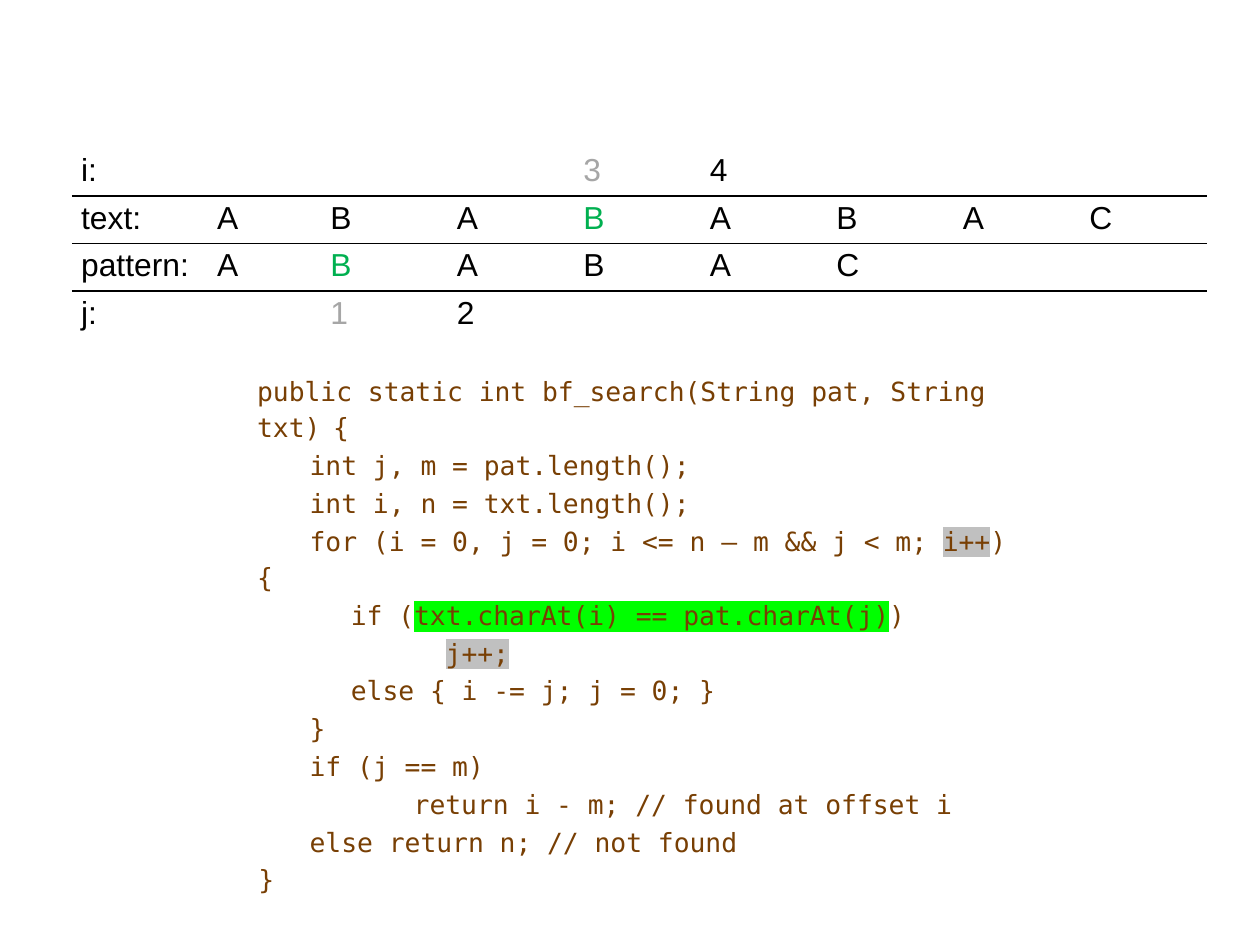
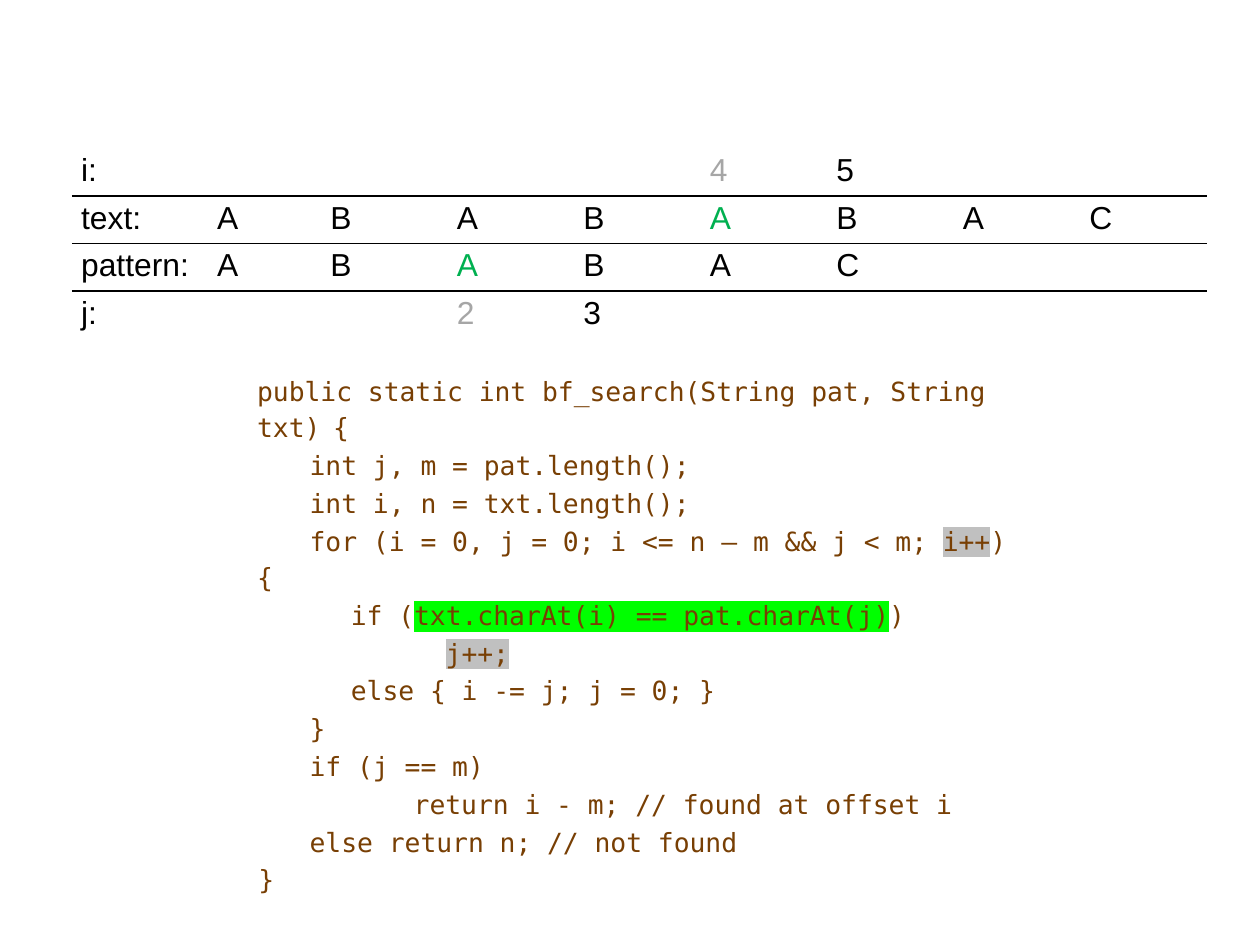
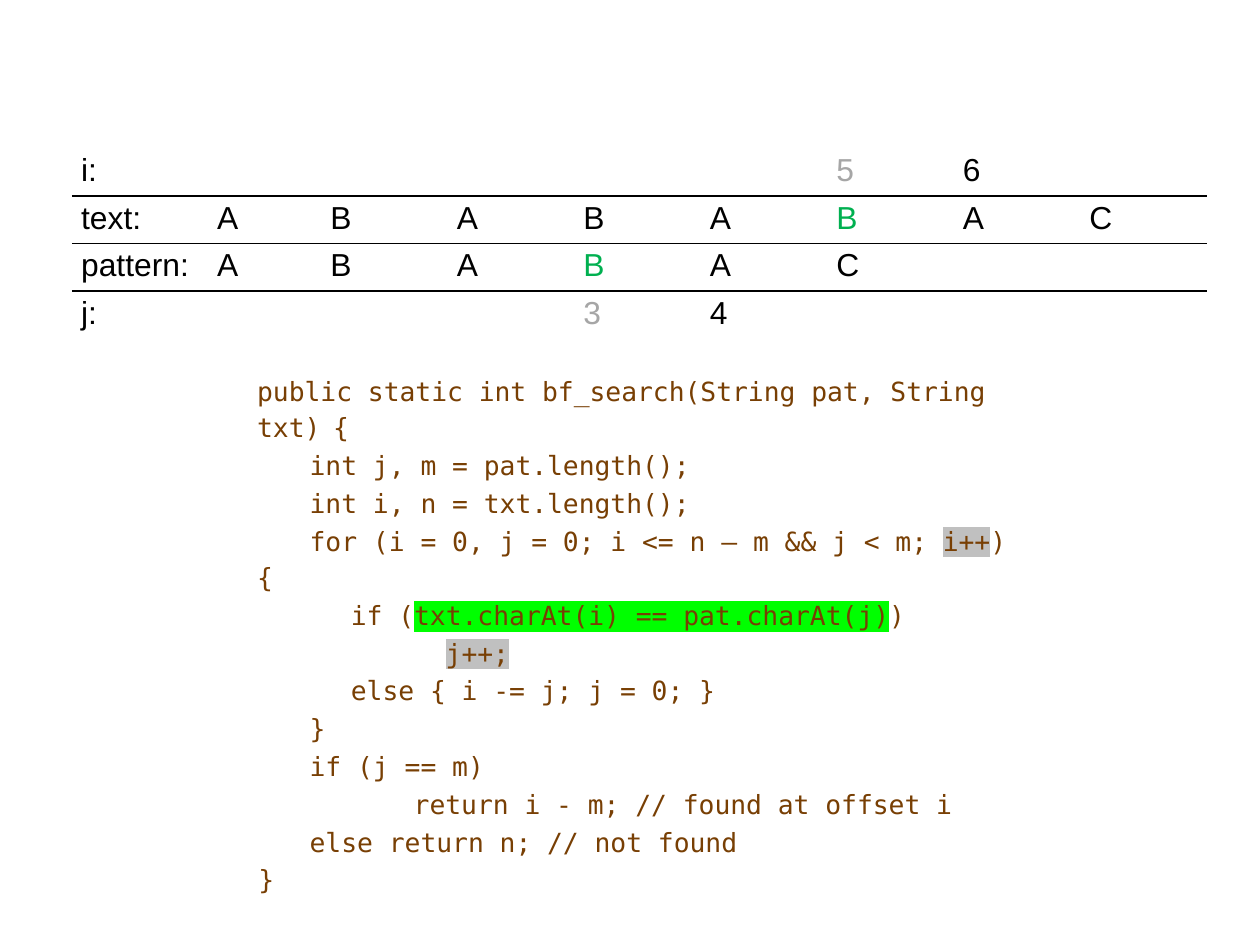
"""Builds three steps of a brute-force string search trace above its code."""
import pptx
import pptx.dml.color
import pptx.enum.text
import pptx.oxml
import pptx.oxml.ns
import pptx.util

Inches = pptx.util.Inches

TEXT = "ABABABAC"
PATTERN = "ABABAC"
STEPS = [(3, 1), (4, 2), (5, 3)]

BLACK, GREY, GREEN, BROWN = "000000", "A6A6A6", "00B050", "783F04"
SILVER, LIME = "C0C0C0", "00FF00"
CODE_STYLE = {"font": "DejaVu Sans Mono", "size": 16.6, "color": BROWN}
CELL_STYLE = {"font": "Arial", "size": 20}

BODY, INNER, RETURN, DEEP = 0.46, 0.82, 1.37, 1.65
GAP = (" ", {"size": 13.2})
CODE = [
    (0, ["public static int bf_search(String pat, String txt)", GAP, "{"]),
    (BODY, ["int j, m = pat.length();"]),
    (BODY, ["int i, n = txt.length();"]),
    (BODY, ["for (i = 0, j = 0; i <= n – m && j < m; ",
            ("i++", {"highlight": SILVER}), ")", GAP, "{"]),
    (INNER, ["if (", ("txt.charAt(i) == pat.charAt(j)", {"highlight": LIME}), ")"]),
    (DEEP, [("j++;", {"highlight": SILVER})]),
    (INNER, ["else { i -= j; j = 0; }"]),
    (BODY, ["}"]),
    (BODY, ["if (j == m)"]),
    (RETURN, ["return i - m; // found at offset i"]),
    (BODY, ["else return n; // not found"]),
    (0.01, ["}"]),
]

TABLE_LEFT, TABLE_TOP, TABLE_WIDTH, TABLE_HEIGHT = 0.63, 1.3, 9.93, 1.66
LABEL_WIDTH, FIRST_WIDTH = 1.19, 0.99
COLUMNS = len(TEXT) + 1
LETTER_WIDTH = (TABLE_WIDTH - LABEL_WIDTH - FIRST_WIDTH) / (COLUMNS - 2)
WIDTHS = [LABEL_WIDTH, FIRST_WIDTH] + [LETTER_WIDTH] * (COLUMNS - 2)
NO_GRID_STYLE = "{2D5ABB26-0587-4C30-8999-92F81FD0307C}"


def xml(tag, inner="", attributes=""):
    namespace = pptx.oxml.ns.nsdecls("a")
    return pptx.oxml.parse_xml(f"<a:{tag} {namespace} {attributes}>{inner}</a:{tag}>")


def add_span(para, text, font, size, color=BLACK, highlight=None):
    span = para.add_run()
    span.text = text
    span.font.name = font
    span.font.size = pptx.util.Pt(size)
    span.font.color.rgb = pptx.dml.color.RGBColor.from_string(color)
    if highlight:
        fill = span._r.get_or_add_rPr().find(pptx.oxml.ns.qn("a:solidFill"))
        fill.addnext(xml("highlight", f'<a:srgbClr val="{highlight}"/>'))


def add_code(page):
    box = page.shapes.add_textbox(Inches(2.16), Inches(3.15), Inches(6.87), Inches(4.09))
    frame = box.text_frame
    frame.word_wrap = True
    frame.vertical_anchor = pptx.enum.text.MSO_ANCHOR.TOP
    frame.margin_left = frame.margin_right = Inches(0.09)
    frame.margin_top = frame.margin_bottom = Inches(0.09)
    for number, (indent, spans) in enumerate(CODE):
        para = frame.add_paragraph() if number else frame.paragraphs[0]
        para.line_spacing = 1.15
        if number:
            para.space_before = pptx.util.Pt(0.9)
        properties = para._p.get_or_add_pPr()
        properties.set("marL", "0")
        properties.set("indent", str(Inches(indent)))
        for span in spans:
            text, changes = (span, {}) if isinstance(span, str) else span
            add_span(para, text, **{**CODE_STYLE, **changes})


def trace_rows(i, j):
    """Return four rows of cells, each a dict from column to text and colour."""
    def counter(label, value):
        return {0: (label, BLACK), value + 1: (str(value), GREY),
                value + 2: (str(value + 1), BLACK)}

    def letters(label, word, match):
        cells = {place + 1: (letter, GREEN if place == match else BLACK)
                 for place, letter in enumerate(word)}
        return {0: (label, BLACK), **cells}

    return [counter("i:", i), letters("text:", TEXT, i),
            letters("pattern:", PATTERN, j), counter("j:", j)]


def rule_cell(cell, sides):
    cell.fill.background()
    properties = cell._tc.get_or_add_tcPr()
    for place, side in enumerate(sides):
        line = f'<a:solidFill><a:srgbClr val="{BLACK}"/></a:solidFill>'
        properties.insert(place, xml(side, line, 'w="12700"'))


def add_trace(page, i, j):
    rows = trace_rows(i, j)
    frame = page.shapes.add_table(len(rows), COLUMNS, Inches(TABLE_LEFT), Inches(TABLE_TOP),
                                  Inches(TABLE_WIDTH), Inches(TABLE_HEIGHT))
    table = frame.table
    table.first_row = table.horz_banding = False
    next(table._tbl.iter(pptx.oxml.ns.qn("a:tableStyleId"))).text = NO_GRID_STYLE
    for column, width in zip(table.columns, WIDTHS):
        column.width = Inches(width)
    for row, cells in enumerate(rows):
        table.rows[row].height = Inches(TABLE_HEIGHT / len(rows))
        sides = ["lnT"] * (row > 0) + ["lnB"] * (row < len(rows) - 1)
        for column in range(COLUMNS):
            cell = table.cell(row, column)
            rule_cell(cell, sides)
            cell.margin_left = cell.margin_right = Inches(0.08)
            cell.margin_top = cell.margin_bottom = Inches(0.04)
            if column in cells:
                text, color = cells[column]
                add_span(cell.text_frame.paragraphs[0], text, color=color, **CELL_STYLE)


def main():
    deck = pptx.Presentation()
    deck.slide_width, deck.slide_height = pptx.util.Cm(28), pptx.util.Cm(21)
    for i, j in STEPS:
        page = deck.slides.add_slide(deck.slide_layouts[6])
        add_code(page)
        add_trace(page, i, j)
    deck.save("out.pptx")


if __name__ == "__main__":
    main()
